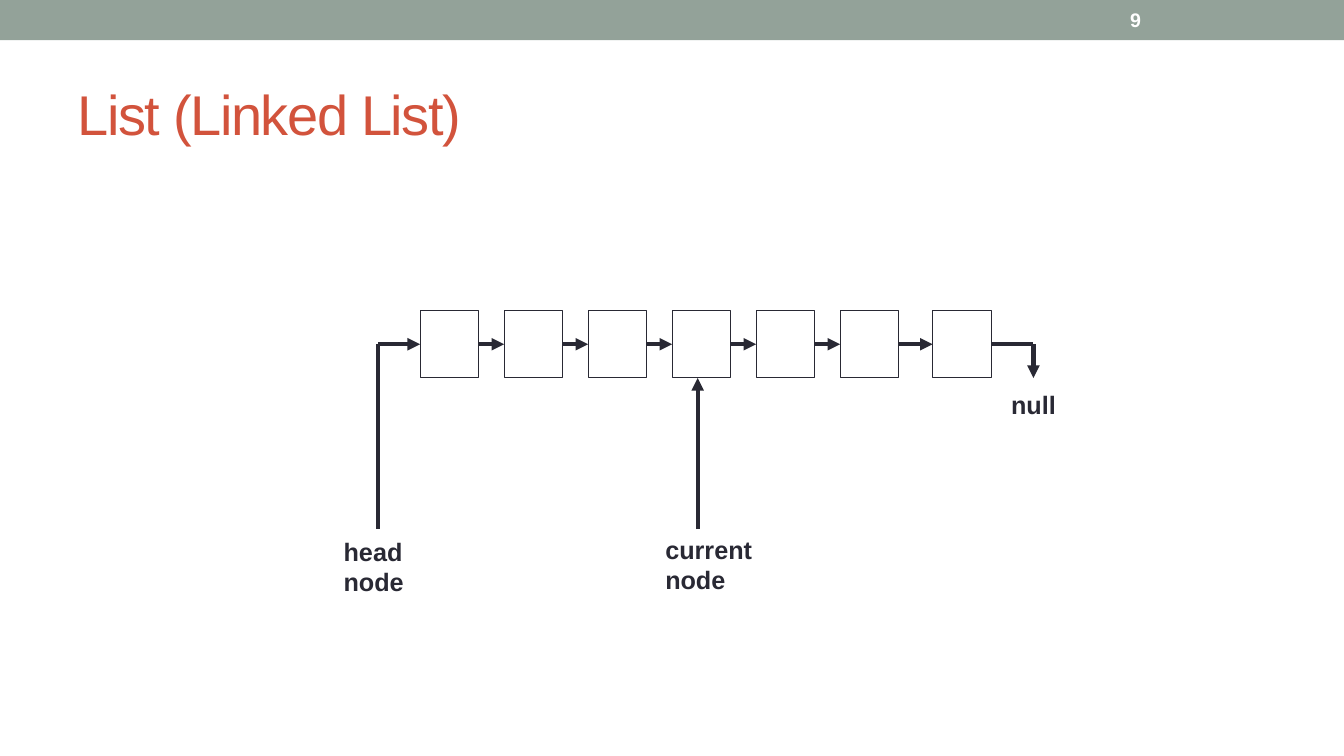
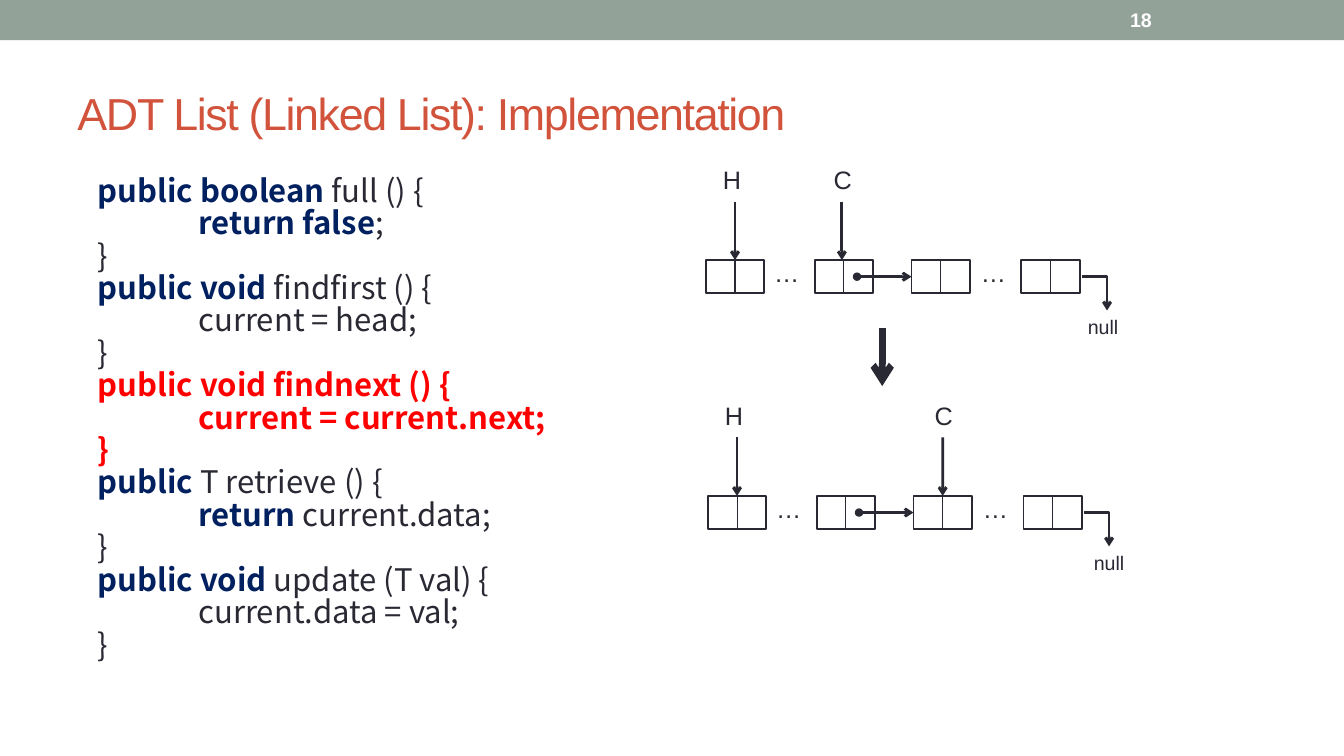
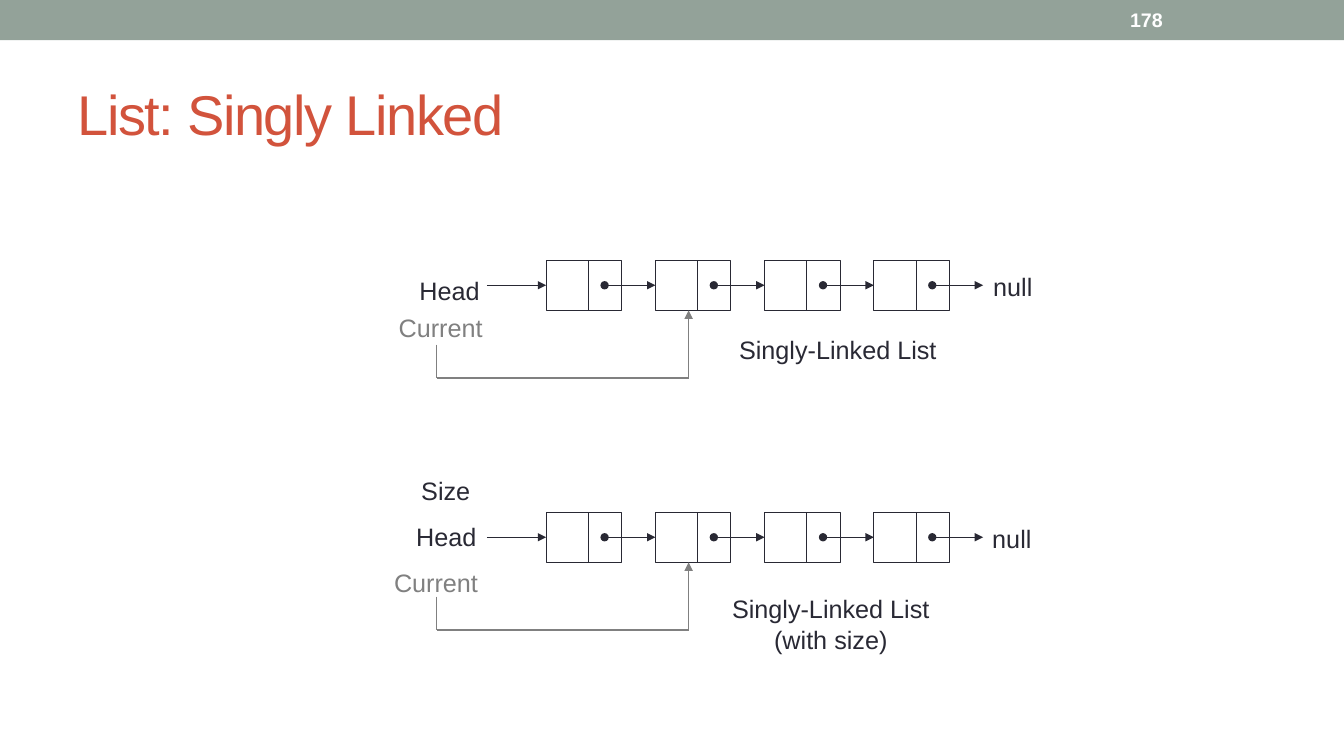
from pptx import Presentation
from pptx.dml.color import RGBColor
from pptx.enum import shapes, text
from pptx.oxml import ns
from pptx.util import Inches, Pt
from lxml import etree


class Theme:
    font, code_font = "Arial", "Noto Sans CJK SC"
    band, title, ink, white = "93A299", "D2533C", "292934", "FFFFFF"
    grey, navy, red = "808080", "002060", "FF0000"
    title_size, long_title_size = 40, 32
    body_size, small_size, code_size = 18, 14, 22.2
    thin, outline, medium, thick, heavy = 0.75, 1.25, 2, 3, 4.75


KEY, PLAIN, HOT = (Theme.navy, True), (Theme.ink, False), (Theme.red, True)

# Indent level, then the styled pieces of the line
CODE = [
    (0, [("public boolean ", KEY), ("full () {", PLAIN)]),
    (1, [("return false", KEY), (";", PLAIN)]),
    (0, [("}", PLAIN)]),
    (0, [("public void ", KEY), ("findfirst () {", PLAIN)]),
    (1, [("current = head;", PLAIN)]),
    (0, [("}", PLAIN)]),
    (0, [("public void findnext () {", HOT)]),
    (1, [("current = current.next;", HOT)]),
    (0, [("}", HOT)]),
    (0, [("public", KEY), (" T retrieve () {", PLAIN)]),
    (1, [("return ", KEY), ("current.data;", PLAIN)]),
    (0, [("}", PLAIN)]),
    (0, [("public void ", KEY), ("update (T val) {", PLAIN)]),
    (1, [("current.data = val;", PLAIN)]),
    (0, [("}", PLAIN)]),
]

# Before and after findnext: the current pointer moves on one node
STATES = [
    dict(x=7, y=2.58, c_text=8.17, c_arrow=8.35, c_node=None, null_x=10.69),
    dict(x=7.02, y=4.92, c_text=9.17, c_arrow=9.35, c_node=2, null_x=10.75),
]

# Labels are (text, left, top, width, height, format)
CENTRED = dict(align=text.PP_ALIGN.CENTER, wrap=False)
MIDDLE = dict(CENTRED, anchor=text.MSO_ANCHOR.MIDDLE)
GREY = dict(color=Theme.grey)
CHAINS = [
    (2.58, [("Head", 3.96, 2.67, 1, 0.42, MIDDLE),
            ("Current", 3.77, 3.04, 1.2, 0.42, dict(MIDDLE, **GREY)),
            ("Singly-Linked List", 7.22, 3.27, 2.18, 0.4, CENTRED),
            ("null", 9.75, 2.64, 0.59, 0.4, CENTRED)]),
    (5.08, [("Size", 4.08, 4.67, 1, 0.42, {}),
            ("Head", 4.03, 5.12, 1, 0.42, {}),
            ("Current", 3.81, 5.58, 1.17, 0.42, GREY),
            ("Singly-Linked List\n(with size)", 7.15, 5.84, 2.18, 0.71, CENTRED),
            ("null", 9.74, 5.14, 0.59, 0.4, CENTRED)]),
]


def style(font, size, color, bold=False, name=Theme.font):
    font.name, font.size, font.bold = name, Pt(size), bold
    font.color.rgb = RGBColor.from_string(color)


def add_text(s, content, x, y, w, h, size=Theme.body_size, color=Theme.ink,
             bold=False, align=text.PP_ALIGN.LEFT, anchor=text.MSO_ANCHOR.TOP,
             wrap=True, spacing=None):
    """Add a text box with one paragraph per line; spacing is in points."""
    tf = s.shapes.add_textbox(*map(Inches, (x, y, w, h))).text_frame
    tf.word_wrap, tf.vertical_anchor = wrap, anchor
    for i, row in enumerate(content.split("\n")):
        p = tf.paragraphs[0] if i == 0 else tf.add_paragraph()
        p.alignment = align
        r = p.add_run()
        r.text = row
        style(r.font, size, color, bold)
        if spacing is not None:
            r.font._element.set("spc", str(spacing * 100))


def add_rect(s, x, y, w, h, fill=None, line=Theme.ink, width=Theme.thin):
    sp = s.shapes.add_shape(shapes.MSO_SHAPE.RECTANGLE, *map(Inches, (x, y, w, h)))
    sp.shadow.inherit = False
    for part, color in ((sp.fill, fill), (sp.line.fill, line)):
        if color:
            part.solid()
            part.fore_color.rgb = RGBColor.from_string(color)
        else:
            part.background()
    if line:
        sp.line.width = Pt(width)
    return sp


def add_line(s, start, end, width=Theme.thin, color=Theme.ink, head=None,
             tail=None, bent=False):
    """Each end is an (x, y) point in inches or a (shape, side) pair to join."""
    joined = [not isinstance(e[0], (int, float)) for e in (start, end)]
    points = [(0, 0) if j else e for j, e in zip(joined, (start, end))]
    kind = shapes.MSO_CONNECTOR.ELBOW if bent else shapes.MSO_CONNECTOR.STRAIGHT
    c = s.shapes.add_connector(kind, *[Inches(v) for pt in points for v in pt])
    if joined[0]:
        c.begin_connect(*start)
    if joined[1]:
        c.end_connect(*end)
    c.line.color.rgb = RGBColor.from_string(color)
    c.line.width = Pt(width)
    sp_pr = c._element.spPr
    if bent:
        sp_pr.find(ns.qn("a:prstGeom")).set("prst", "bentConnector2")
    for tag, arrow in (("a:headEnd", head), ("a:tailEnd", tail)):
        if arrow:
            etree.SubElement(c.line._get_or_add_ln(), ns.qn(tag), type=arrow)
    etree.SubElement(sp_pr, ns.qn("a:effectLst"))


def add_slide(prs, title, number, size=Theme.title_size):
    s = prs.slides.add_slide(prs.slide_layouts[6])
    add_rect(s, 0, 0, 13.33, 0.4, fill=Theme.band, line=None)
    middle = text.MSO_ANCHOR.MIDDLE
    add_text(s, title, 0.67, 0.58, 12, 1.08, size=size, color=Theme.title,
             anchor=middle, spacing=-1)
    add_text(s, number, 11.11, 0.02, 1.56, 0.36, size=Theme.small_size,
             color=Theme.white, bold=True, anchor=middle)
    return s


def linked_list_slide(prs):
    s = add_slide(prs, "List (Linked List)", "9")
    top, h, label_top = 3.08, 0.67, 5.25
    mid, bottom = top + h / 2, top + h
    lefts = [(25 + 5 * i) / 6 for i in range(6)] + [9.25]
    nodes = [add_rect(s, x, top, 0.58, h) for x in lefts]
    links = [((a, 3), (b, 1), "triangle") for a, b in zip(nodes, nodes[1:])]
    links += [
        ((nodes[-1], 3), (10.25, mid), None),
        ((10.25, mid), (10.25, bottom), "triangle"),
        ((3.75, mid), (nodes[0], 1), "triangle"),
        ((3.75, mid), (3.75, label_top), None),
        ((6.92, label_top), (6.92, bottom), "triangle"),
    ]
    for start, end, tail in links:
        add_line(s, start, end, Theme.thick, tail=tail)
    add_text(s, "null", 9.93, 3.81, 0.66, 0.4, bold=True, wrap=False)
    add_text(s, "head\nnode", 3.31, 5.27, 0.81, 0.71, bold=True, wrap=False)
    add_text(s, "current\nnode", 6.5, 5.25, 1.1, 0.71, bold=True)


def add_code(s):
    tf = s.shapes.add_textbox(*map(Inches, (0.67, 1.75, 6, 5.33))).text_frame
    tf.word_wrap = True
    for i, (level, pieces) in enumerate(CODE):
        p = tf.paragraphs[0] if i == 0 else tf.add_paragraph()
        p._p.get_or_add_pPr().set("marL", str(Inches(0.2 + level)))
        p.line_spacing = 0.7
        p.space_before = Pt(4.5 if i else 0)
        for words, (color, bold) in pieces:
            r = p.add_run()
            r.text = words
            style(r.font, Theme.code_size, color, bold, Theme.code_font)


def add_state(s, x, y, c_text, c_arrow, c_node, null_x):
    """Draw the list with its head (H) and current (C) pointers."""
    h = 0.33
    nodes = [add_rect(s, x + dx, y, 0.58, h, Theme.white, width=Theme.outline)
             for dx in (0, 1.08, 2.04, 3.13)]
    for node in nodes:
        add_line(s, (node, 0), (node, 2))
    c_end = (c_arrow, y) if c_node is None else (nodes[c_node], 0)
    mid = y + h / 2
    for start, end, extra in [
        ((x + 0.29, y - 0.58), (nodes[0], 0), {}),
        ((c_arrow, y - 0.58), c_end, {}),
        ((x + 1.5, mid), (nodes[2], 1), dict(head="oval")),
        ((x + 3.73, mid), (x + 3.98, y + 0.5), dict(bent=True)),
    ]:
        add_line(s, start, end, Theme.medium, tail="arrow", **extra)
    add_text(s, "H", x + 0.07, y - 1, 0.39, 0.4, wrap=False)
    add_text(s, "C", c_text, y - 1, 0.39, 0.4, wrap=False)
    for dx in (0.58, 2.63):
        add_text(s, "…", x + dx, y - 0.08, 0.45, 0.4, wrap=False)
    add_text(s, "null", null_x, y + 0.5, 0.51, 0.34, size=Theme.small_size, wrap=False)


def implementation_slide(prs):
    s = add_slide(prs, "ADT List (Linked List): Implementation", "18",
                  Theme.long_title_size)
    add_code(s)
    for state in STATES:
        add_state(s, **state)
    add_line(s, (8.75, 3.25), (8.75, 3.83), Theme.heavy, tail="arrow")


def add_chain(s, y, labels):
    """Draw four two-cell nodes with head and current pointers."""
    data_w, link_w, h, pitch = 0.42, 0.33, 0.5, 3.25 / 3
    lefts = [6.5 + i * pitch for i in range(-1, 3)]
    cells = [add_rect(s, x, y, data_w, h) for x in lefts]
    for x in lefts:
        add_rect(s, x + data_w, y, link_w, h)
    mid, low = y + h / 2, y + 1.17
    add_line(s, (4.83, mid), (cells[0], 1), tail="triangle")
    ends = [(cell, 1) for cell in cells[1:]] + [(9.75, mid)]
    for x, end in zip(lefts, ends):
        add_line(s, (x + 0.58, mid), end, head="oval", tail="triangle")
    route = [(4.33, y + 0.84), (4.33, low), (6.83, low), (6.83, y + h)]
    for start, end, tail in zip(route, route[1:], (None, None, "triangle")):
        add_line(s, start, end, color=Theme.grey, tail=tail)
    for words, *box, fmt in labels:
        add_text(s, words, *box, **fmt)


def singly_linked_slide(prs):
    s = add_slide(prs, "List: Singly Linked", "178")
    for y, labels in CHAINS:
        add_chain(s, y, labels)


def main():
    prs = Presentation()
    prs.slide_width, prs.slide_height = Inches(13.33), Inches(7.5)
    linked_list_slide(prs)
    implementation_slide(prs)
    singly_linked_slide(prs)
    prs.save("out.pptx")


if __name__ == "__main__":
    main()
